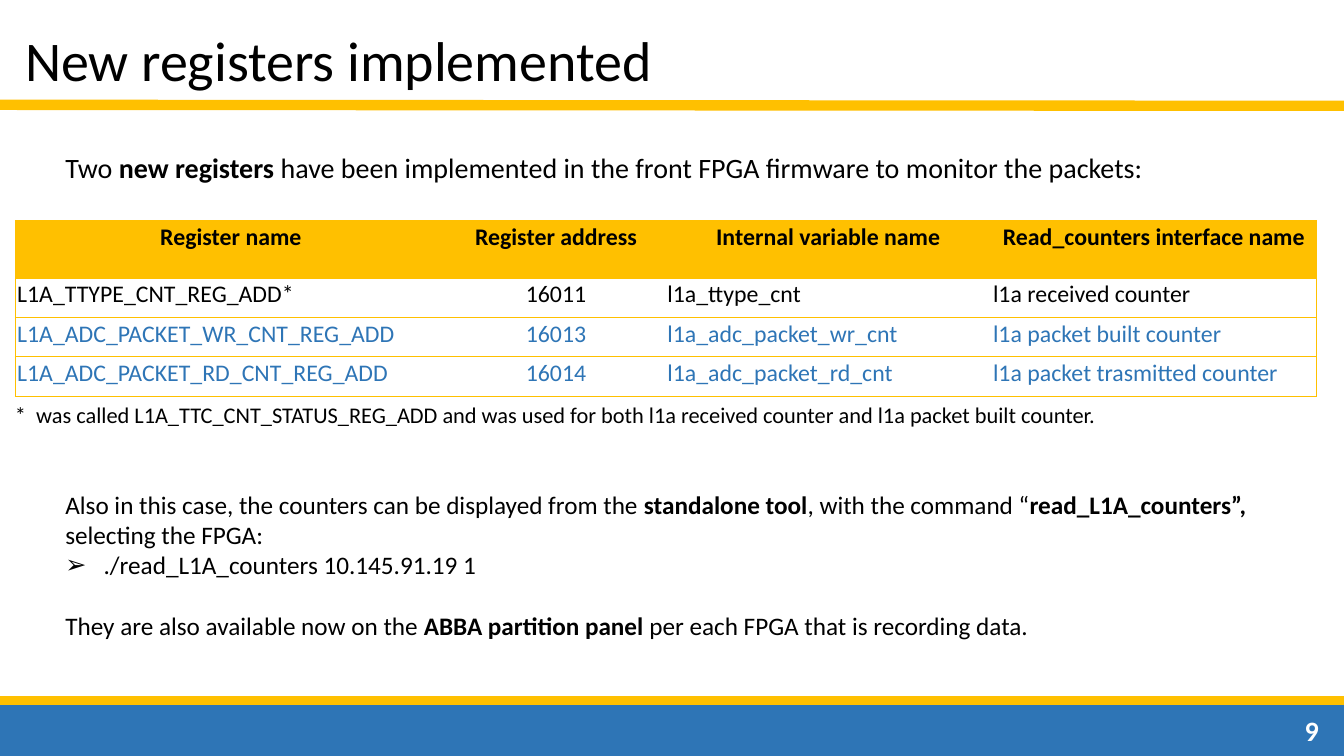
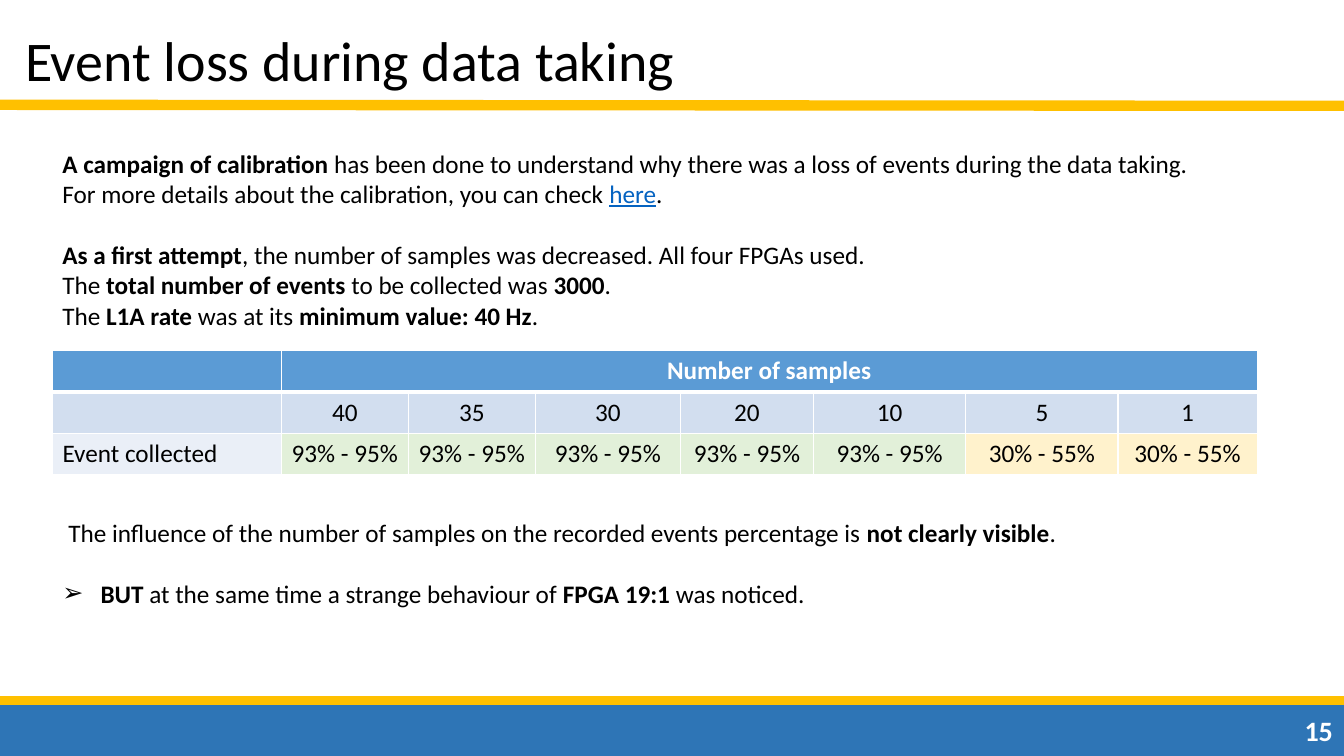
from lxml.etree import SubElement
from pptx import Presentation
from pptx.dml.color import RGBColor
from pptx.enum.shapes import MSO_CONNECTOR, MSO_SHAPE
from pptx.enum.text import PP_ALIGN
from pptx.oxml import parse_xml
from pptx.oxml.ns import nsdecls, qn
from pptx.util import Inches, Pt

FONT = "Calibri"
BLACK, WHITE = "000000", "FFFFFF"
GOLD, BLUE, LINK = "FFC000", "2E75B6", "0563C1"
HEADER_BLUE, ROW_BLUE, LABEL_BLUE = "5B9BD5", "D2DEEF", "EAEFF7"
GOOD_GREEN, POOR_YELLOW = "E2F0D9", "FFF2CC"
PLAIN_TABLE_STYLE = "{2D5ABB26-0587-4C30-8999-92F81FD0307C}"
SLIDE_W = 13.33
LINE_GAP = 22  # points, one line of 18 pt text


def rgb(color):
    return RGBColor.from_string(color)


def bold(text):
    return text, {"bold": True}


def write(p, *parts, size=18, color=BLACK, bold=False, align=None,
          before=0, indent=0, bullet=None):
    """Fill a paragraph with parts: strings, or (text, font overrides)."""
    p.alignment = align
    p.space_before = Pt(before)
    pPr = p._p.get_or_add_pPr()
    if indent:
        pPr.set("marL", str(Inches(indent)))
    if bullet:
        pPr.set("indent", str(-Inches(indent)))
        SubElement(pPr, qn("a:buFont")).set("typeface", "Arial")
        SubElement(pPr, qn("a:buChar")).set("char", bullet)
    for part in parts:
        text, fmt = (part, {}) if isinstance(part, str) else part
        r = p.add_run()
        r.text = text
        r.font.name = FONT
        r.font.size = Pt(size)
        r.font.bold = fmt.get("bold", bold)
        r.font.underline = fmt.get("underline", False)
        r.font.color.rgb = rgb(fmt.get("color", color))


def add_text(s, left, top, width, height, *paragraphs, **fmt):
    """Add a text box; each paragraph is (parts, paragraph format)."""
    box = s.shapes.add_textbox(Inches(left), Inches(top),
                               Inches(width), Inches(height))
    tf = box.text_frame
    tf.word_wrap = True
    for i, (parts, own) in enumerate(paragraphs):
        p = tf.add_paragraph() if i else tf.paragraphs[0]
        write(p, *parts, **{**fmt, **own})
    return tf


def para(*parts, **fmt):
    return parts, fmt


def add_gold_line(s, y1, y2, width):
    line = s.shapes.add_connector(MSO_CONNECTOR.STRAIGHT, 0, Inches(y1),
                                  Inches(SLIDE_W), Inches(y2))
    line.line.color.rgb = rgb(GOLD)
    line.line.width = Pt(width)
    SubElement(line._element.spPr, qn("a:effectLst"))


def add_frame(s, title, number):
    """Title, gold lines, footer band and slide number."""
    for y in (1.02, 1.06):
        add_gold_line(s, y, y + 0.01, 4.5)
    band = s.shapes.add_shape(MSO_SHAPE.RECTANGLE, 0, Inches(6.96),
                              Inches(SLIDE_W), Inches(0.54))
    band.shadow.inherit = False
    band.fill.solid()
    band.fill.fore_color.rgb = rgb(BLUE)
    band.line.color.rgb = rgb(BLUE)
    band.line.width = Pt(1)
    add_gold_line(s, 6.95, 6.95, 6)
    add_text(s, 0.15, 0.2, 12.9, 0.77, para(title), size=40)
    tf = add_text(s, 12.84, 7.03, 0.49, 0.44, para(str(number)),
                  size=20, color=WHITE, bold=True)
    tf.margin_right = 0


def add_grid(s, left, top, widths, heights):
    frame = s.shapes.add_table(len(heights), len(widths), Inches(left),
                               Inches(top), Inches(sum(widths)),
                               Inches(sum(heights)))
    table = frame.table
    table._tbl.tblPr.find(qn("a:tableStyleId")).text = PLAIN_TABLE_STYLE
    table.first_row = table.horz_banding = False
    for col, width in zip(table.columns, widths):
        col.width = Inches(width)
    for row, height in zip(table.rows, heights):
        row.height = Inches(height)
    return table


def set_borders(cell, color, **widths):
    """Draw the sides named L, R, T and B, with widths in points."""
    tcPr = cell._tc.get_or_add_tcPr()
    sides = [side for side in "LRTB" if side in widths]
    for i, side in enumerate(sides):
        tcPr.insert(i, parse_xml(
            f'<a:ln{side} {nsdecls("a")} w="{Pt(widths[side])}"><a:solidFill>'
            f'<a:srgbClr val="{color}"/></a:solidFill></a:ln{side}>'))


def set_cell(cell, text, fill=None, inset=None, **fmt):
    if fill:
        cell.fill.solid()
        cell.fill.fore_color.rgb = rgb(fill)
    else:
        cell.fill.background()
    if inset is not None:
        cell.margin_left = cell.margin_right = Inches(inset)
        cell.margin_top = cell.margin_bottom = Inches(inset)
    write(cell.text_frame.paragraphs[0], *([text] if text else []), **fmt)


def add_register_table(s):
    rows = [
        ("Register name", "Register address", "Internal variable name",
         "Read_counters interface name"),
        ("L1A_TTYPE_CNT_REG_ADD*", "16011", "l1a_ttype_cnt",
         "l1a received counter"),
        ("L1A_ADC_PACKET_WR_CNT_REG_ADD", "16013", "l1a_adc_packet_wr_cnt",
         "l1a packet built counter"),
        ("L1A_ADC_PACKET_RD_CNT_REG_ADD", "16014", "l1a_adc_packet_rd_cnt",
         "l1a packet trasmitted counter"),
    ]
    table = add_grid(s, 0.15, 2.19, [4.28, 2.17, 3.23, 3.23],
                     [0.57] + [0.39] * 3)
    for i, row in enumerate(rows):
        for j, text in enumerate(row):
            cell = table.cell(i, j)
            header = i == 0
            set_cell(cell, text, fill=GOLD if header else None, inset=0.02,
                     size=17, bold=header, color=BLUE if i > 1 else BLACK,
                     align=PP_ALIGN.CENTER if header or j == 1 else None)
            sides = {"T": 0.5, "B": 0.5}
            if j == 0:
                sides["L"] = 0.5
            if j == len(row) - 1:
                sides["R"] = 0.5
            set_borders(cell, GOLD, **sides)


def add_sample_table(s):
    samples = ["40", "35", "30", "20", "10", "5", "1"]
    rates = ["93% - 95%"] * 5 + ["30% - 55%"] * 2
    rows = [["", "Number of samples"] + [""] * 6,
            [""] + samples,
            ["Event collected"] + rates]
    fills = [[HEADER_BLUE] * 8,
             [ROW_BLUE] * 8,
             [LABEL_BLUE] + [GOOD_GREEN] * 5 + [POOR_YELLOW] * 2]
    table = add_grid(s, 0.52, 3.48,
                     [2.27, 1.26, 1.26, 1.44, 1.32, 1.51, 1.51, 1.38],
                     [0.41] * 3)
    table.cell(0, 1).merge(table.cell(0, 7))
    for i, row in enumerate(rows):
        for j, text in enumerate(row):
            cell = table.cell(i, j)
            header = i == 0
            set_cell(cell, text, fill=fills[i][j], bold=header,
                     color=WHITE if header else BLACK,
                     align=PP_ALIGN.CENTER if j else None)
            set_borders(cell, WHITE, L=1, R=1, T=3 if i == 1 else 1,
                        B=3 if header else 1)


def build_registers(s):
    add_frame(s, "New registers implemented", 9)
    add_text(s, 0.55, 1.44, 12, 0.77, para(
        "Two ", bold("new registers "),
        "have been implemented in the front FPGA firmware to monitor the "
        "packets:"), size=20)
    add_register_table(s)
    add_text(s, 0.05, 3.93, 12, 0.64, para(
        "*  was called L1A_TTC_CNT_STATUS_REG_ADD and was used for both l1a "
        "received counter and l1a packet built counter."), size=16)
    add_text(
        s, 0.55, 4.8, 12.23, 1.62,
        para("Also in this case, the counters can be displayed from the ",
             bold("standalone tool"), ", with the command “",
             bold("read_L1A_counters”,"), " selecting the FPGA:"),
        para("./read_L1A_counters 10.145.91.19 1", indent=0.38, bullet="➢"),
        para("They are also available now on the ",
             bold("ABBA partition panel "),
             "per each FPGA that is recording data.", before=LINE_GAP))


def build_event_loss(s):
    add_frame(s, "Event loss during data taking", 15)
    add_text(
        s, 0.52, 1.42, 11.87, 1.95,
        para(bold("A campaign of calibration "),
             "has been done to understand why there was a loss of events "
             "during the data taking."),
        para("For more details about the calibration, you can check ",
             ("here", {"color": LINK, "underline": True}), "."),
        para(bold("As a first attempt"), ", the number of samples was "
             "decreased. All four FPGAs used.", before=LINE_GAP),
        para("The ", bold("total number of events "), "to be collected was ",
             bold("3000"), "."),
        para("The ", bold("L1A rate"), " was at its ",
             bold("minimum value: 40 Hz"), "."))
    add_sample_table(s)
    add_text(
        s, 0.52, 5.08, 11.87, 1.02,
        para("The influence of the number of samples on the recorded events "
             "percentage is ", bold("not clearly visible"), ".", indent=0.06),
        para(bold("BUT "), "at the same time a strange behaviour of ",
             bold("FPGA 19:1 "), "was noticed.",
             before=LINE_GAP, indent=0.38, bullet="➢"))


def main():
    prs = Presentation()
    prs.slide_width, prs.slide_height = Inches(SLIDE_W), Inches(7.5)
    for build in (build_registers, build_event_loss):
        build(prs.slides.add_slide(prs.slide_layouts[6]))
    prs.save("out.pptx")


if __name__ == "__main__":
    main()
